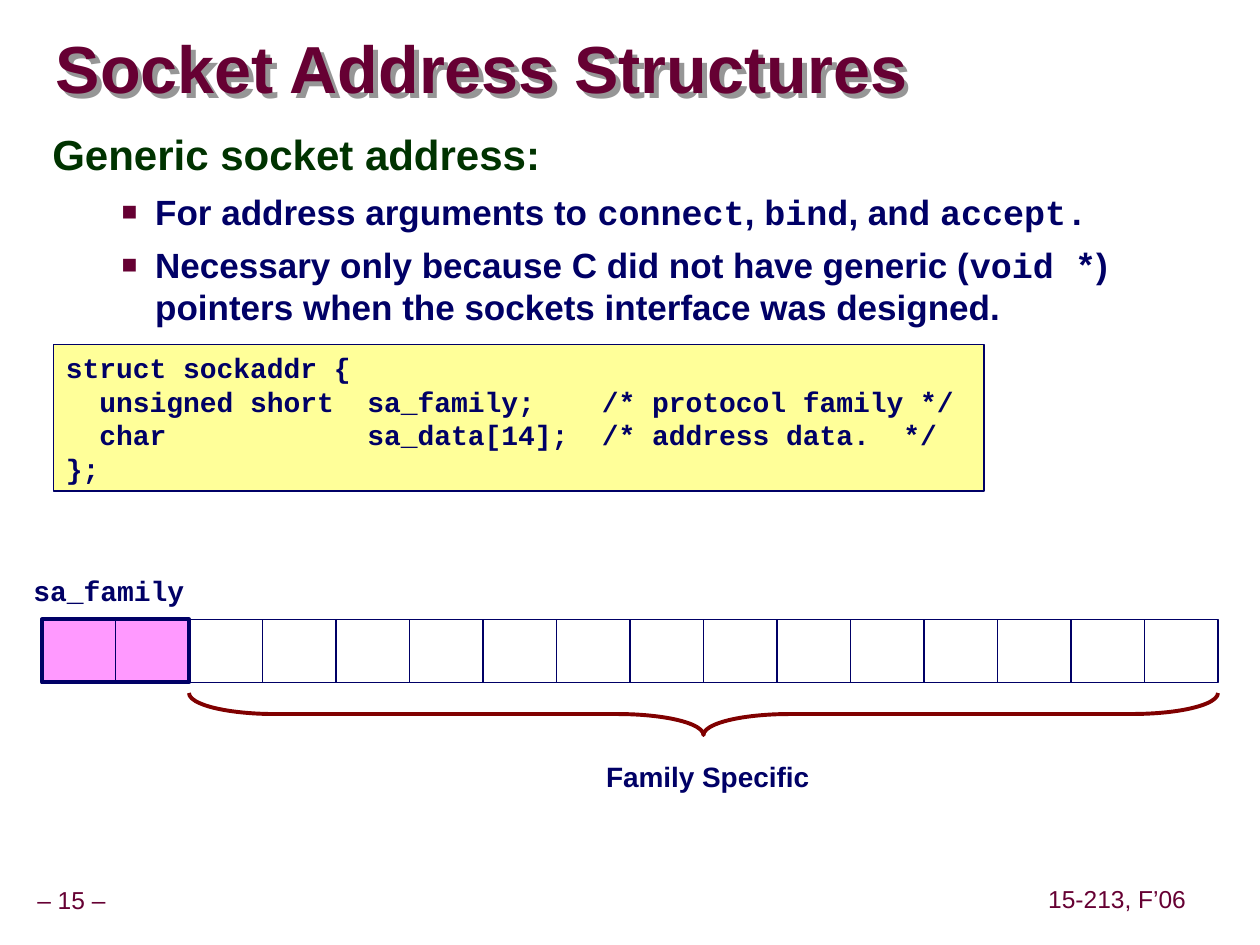
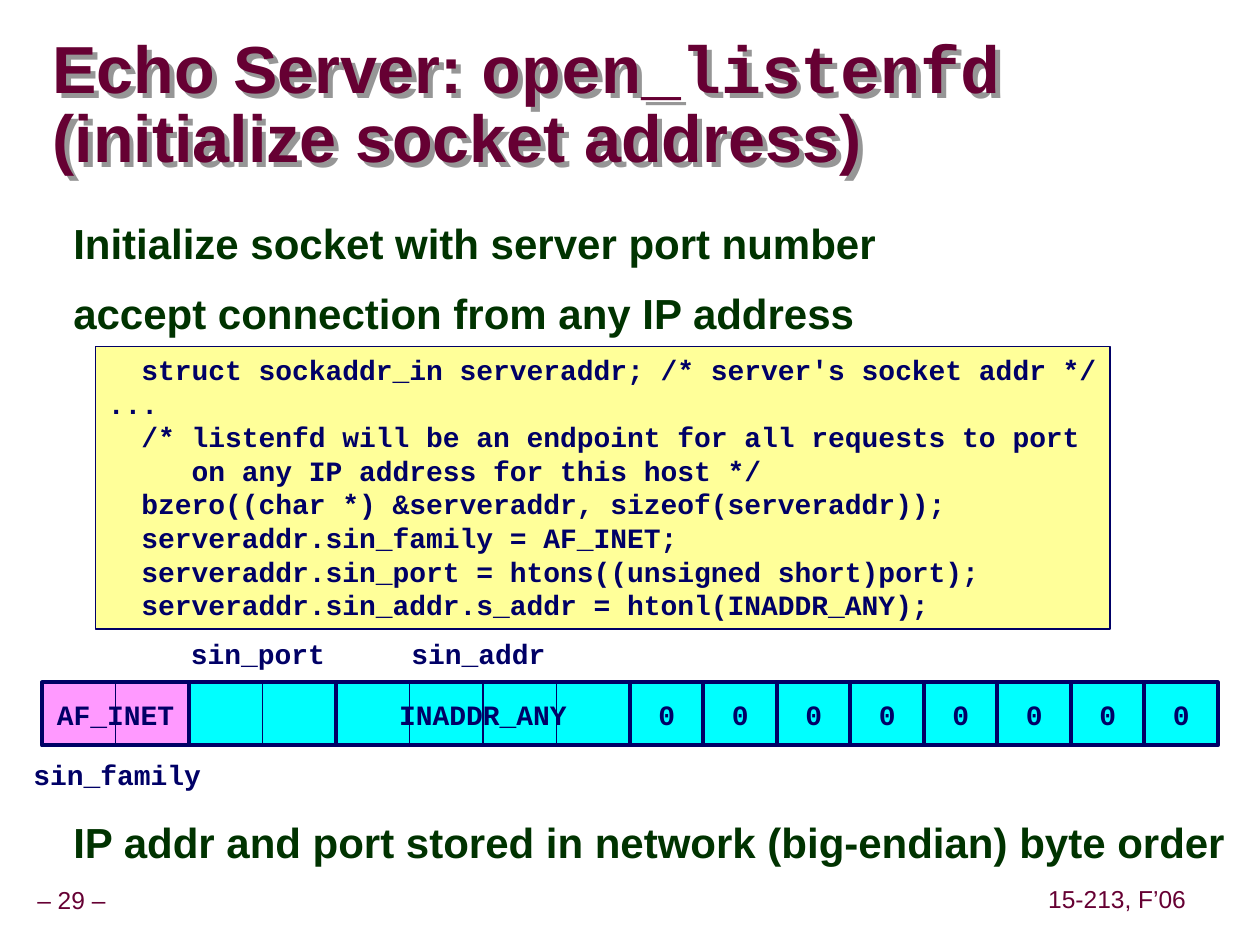
from itertools import cycle

from lxml.etree import SubElement
from pptx import Presentation
from pptx.dml.color import RGBColor
from pptx.enum.shapes import MSO_SHAPE as Shape
from pptx.enum.text import MSO_ANCHOR as Anchor, PP_ALIGN as Align
from pptx.oxml.ns import qn
from pptx.util import Pt

PX = 7620  # EMU per px, 120 px to the inch
SANS, MONO = "Arial", "Courier New"
MAROON, GREEN, NAVY, BRACE_RED = "660033", "003300", "000066", "800000"
YELLOW, PINK, CYAN, SHADOW = "FFFF99", "FF99FF", "00FFFF", "969696"
BYTE_LEFT, BYTE_WIDTH, BYTE_HEIGHT = 40, 70, 60
color = RGBColor.from_string


def add_box(page, bounds, fill=None, line=None, weight=1, kind=Shape.RECTANGLE):
    """Add a shape with bounds in px, or a text box if it has no line."""
    left, top, width, height = [length * PX for length in bounds]
    if line is None:
        return page.shapes.add_textbox(left, top, width, height)
    box = page.shapes.add_shape(kind, left, top, width, height)
    box.shadow.inherit = False
    if fill:
        box.fill.solid()
        box.fill.fore_color.rgb = color(fill)
    else:
        box.fill.background()
    box.line.color.rgb = color(line)
    box.line.width = Pt(weight)
    return box


def write(box, lines, size=16, ink=NAVY, fonts=(MONO,), bold=True,
          align=Align.LEFT, anchor=Anchor.TOP, wrap=True, margin=None):
    """Fill a box; the spans of each line take the fonts in turn."""
    frame = box.text_frame
    frame.word_wrap = wrap
    frame.vertical_anchor = anchor
    if margin is not None:
        frame.margin_left = frame.margin_right = margin * PX
        frame.margin_top = frame.margin_bottom = margin * PX
    for number, spans in enumerate(lines):
        para = frame.add_paragraph() if number else frame.paragraphs[0]
        para.alignment = align
        for text, font in zip(spans, cycle(fonts)):
            span = para.add_run()
            span.text = text
            span.font.name = font
            span.font.size = Pt(size)
            span.font.bold = bold
            span.font.color.rgb = color(ink)
    return frame.paragraphs


deck = Presentation()
deck.slide_width, deck.slide_height = 1200 * PX, 900 * PX
pages = []

# Titles and footers
for number, title, title_bounds in [
    (15, ["Socket Address Structures"], (53, 18, 1144, 102)),
    (29, ["Echo Server: ", "open_listenfd ", "(initialize socket address)"],
     (50, 30, 1030, 144)),
]:
    page = deck.slides.add_slide(deck.slide_layouts[6])
    pages.append(page)
    box = add_box(page, title_bounds)
    para = write(box, [title], 38, MAROON, (SANS, MONO), anchor=Anchor.MIDDLE, margin=0)[0]
    para.line_spacing = 0.87
    effects = SubElement(box._element.spPr, qn("a:effectLst"))
    shadow = SubElement(effects, qn("a:outerShdw"), dist="50800", dir="2700000")
    SubElement(shadow, qn("a:srgbClr"), val=SHADOW)

    for text, bounds in [(f"– {number} –", (0, 840, 136, 37)),
                         ("15-213, F’06", (992, 839, 144, 37))]:
        para = write(add_box(page, bounds), [[text]], 14, MAROON, (SANS,), bold=False,
                     align=Align.CENTER, anchor=Anchor.MIDDLE, wrap=False, margin=6)[0]
        para.line_spacing = 0.9

structures, server = pages

# Socket address structures: heading and bullets
box = add_box(structures, (38, 120, 1091, 400))
heading, *bullets = write(box, [
    ["Generic socket address:"],
    ["For address arguments to ", "connect", ", ", "bind", ", and ", "accept."],
    ["Necessary only because C did not have generic (", "void *",
     ") pointers when the sockets interface was designed."],
], 20, NAVY, (SANS, MONO))
heading.line_spacing = 0.95
heading.space_before = Pt(15)
heading.runs[0].font.size = Pt(24)
heading.runs[0].font.color.rgb = color(GREEN)
for para in bullets:
    para.space_before = Pt(6.2)
    props = para._p.get_or_add_pPr()
    props.set("marL", str(98 * PX))
    props.set("indent", str(-32 * PX))
    SubElement(SubElement(props, qn("a:buClr")), qn("a:srgbClr"), val=MAROON)
    SubElement(props, qn("a:buSzPct"), val="75000")
    SubElement(props, qn("a:buFont"), typeface=SANS)
    SubElement(props, qn("a:buChar"), char="■")

write(add_box(structures, (51, 328, 886, 140), YELLOW, NAVY), [
    ["struct sockaddr {"],
    ["  unsigned short  sa_family;    /* protocol family */"],
    ["  char            sa_data[14];  /* address data.  */"],
    ["};"],
], wrap=False)

# Generic address: two family bytes, then fourteen data bytes
bytes_top = 590
add_box(structures, (BYTE_LEFT, bytes_top, 2 * BYTE_WIDTH, BYTE_HEIGHT), PINK, NAVY, 2.25)
for byte in range(16):
    add_box(structures, (BYTE_LEFT + byte * BYTE_WIDTH, bytes_top, BYTE_WIDTH, BYTE_HEIGHT),
            line=NAVY)
brace = add_box(structures, (650, 190, 40, 980), line=BRACE_RED, weight=2.25,
                kind=Shape.LEFT_BRACE)
brace.rotation = 270
brace.adjustments[0] = 2.04
write(add_box(structures, (540, 717, 268, 44)), [["Family Specific"]], fonts=(SANS,),
      align=Align.CENTER)

# Echo server: statements above and below the code
statements = write(add_box(server, (58, 209, 1142, 661)), [
    ["Initialize socket with server port number"],
    ["accept connection from any IP address"],
    ["IP addr and port stored in network (big-endian) byte order"],
], 24, GREEN, (SANS,))
for para, gap in zip(statements, (15, 15, 278)):
    para.line_spacing = 0.85
    para.space_before = Pt(gap)

write(add_box(server, (91, 330, 966, 269), YELLOW, NAVY), [
    ["  struct sockaddr_in serveraddr; /* server's socket addr */"],
    ["..."],
    ["  /* listenfd will be an endpoint for all requests to port"],
    ["     on any IP address for this host */"],
    ["  bzero((char *) &serveraddr, sizeof(serveraddr));"],
    ["  serveraddr.sin_family = AF_INET;"],
    ["  serveraddr.sin_port = htons((unsigned short)port);"],
    ["  serveraddr.sin_addr.s_addr = htonl(INADDR_ANY);"],
], wrap=False)

# Internet address: first byte, byte count, fill, line weight, value
single_bytes = [(byte, 1, None, 1, "") for byte in range(8)]
zero_bytes = [(byte, 1, CYAN, 2.25, "0") for byte in range(8, 16)]
fields = [
    (2, 2, CYAN, 2.25, ""),
    (4, 4, CYAN, 2.25, ""),
    (0, 2, PINK, 2.25, "AF_INET"),
    *single_bytes,
    *zero_bytes,
    (4, 4, None, 2.25, "INADDR_ANY"),
]
for first, count, fill, weight, value in fields:
    bounds = (BYTE_LEFT + first * BYTE_WIDTH, 650, count * BYTE_WIDTH, BYTE_HEIGHT)
    box = add_box(server, bounds, fill, NAVY, weight)
    if value:
        write(box, [[value]], align=Align.CENTER, anchor=Anchor.MIDDLE, wrap=False)

# Field names beside the bytes, in boxes with room to spare
for page, name, left, top in [
    (structures, "sa_family", 20, 540),
    (server, "sin_family", 20, 716),
    (server, "sin_port", 170, 600),
    (server, "sin_addr", 380, 600),
]:
    write(add_box(page, (left, top, 205, 44)), [[name]])

deck.save("out.pptx")
